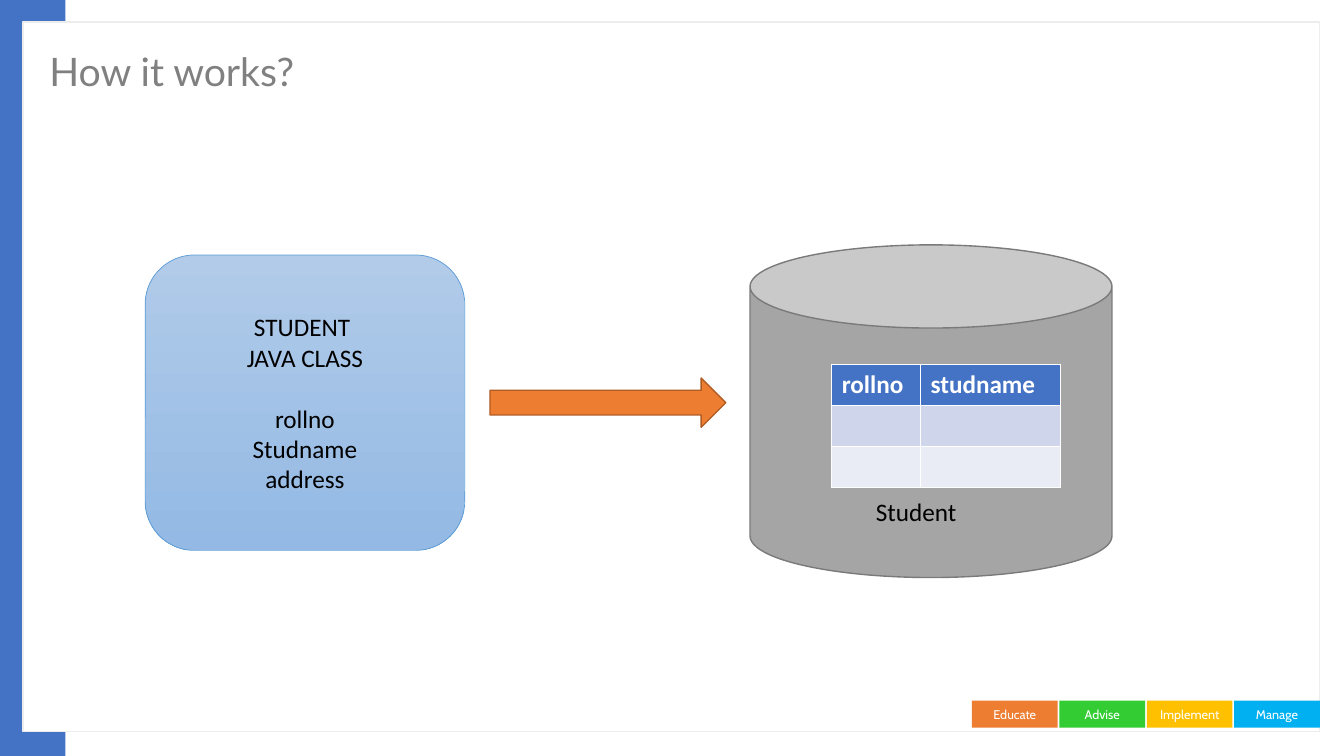
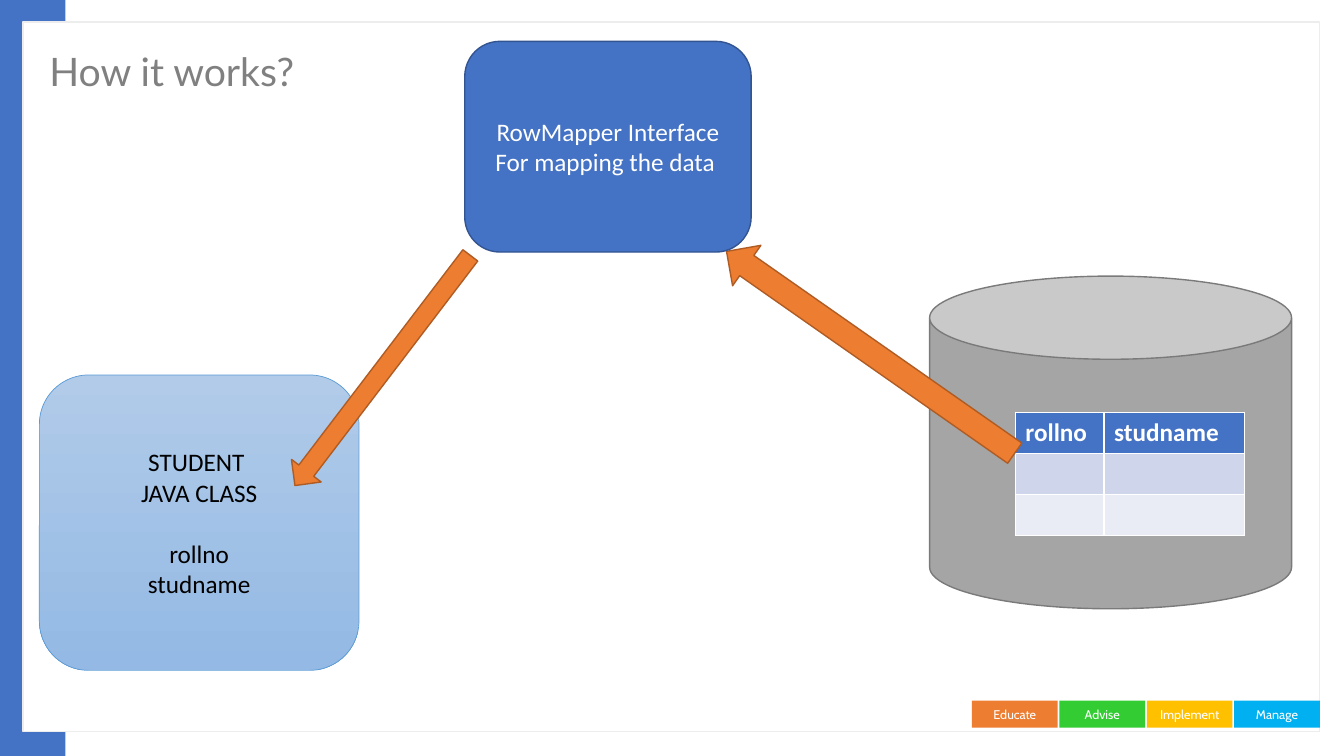
from typing import NamedTuple

from pptx import Presentation
from pptx.dml.color import RGBColor
from pptx.enum.shapes import MSO_SHAPE
from pptx.enum.text import MSO_ANCHOR, MSO_AUTO_SIZE, PP_ALIGN
from pptx.util import Inches, Pt

RECT, ROUND = MSO_SHAPE.RECTANGLE, MSO_SHAPE.ROUNDED_RECTANGLE
CAN, RIGHT, DOWN = MSO_SHAPE.CAN, MSO_SHAPE.RIGHT_ARROW, MSO_SHAPE.DOWN_ARROW
LEFT, CENTER = PP_ALIGN.LEFT, PP_ALIGN.CENTER
TOP, MIDDLE = MSO_ANCHOR.TOP, MSO_ANCHOR.MIDDLE
FIXED = MSO_AUTO_SIZE.NONE

WHITE = RGBColor(0xFF, 0xFF, 0xFF)
BLACK = RGBColor(0x00, 0x00, 0x00)
GRAY = RGBColor(0x80, 0x80, 0x80)
PALE = RGBColor(0xED, 0xED, 0xED)
BLUE = RGBColor(0x44, 0x72, 0xC4)
NAVY = RGBColor(0x32, 0x54, 0x91)
SKY = RGBColor(0x5B, 0x9B, 0xD5)
LIGHT = RGBColor(0xB1, 0xCB, 0xE9)
SOFT = RGBColor(0x93, 0xB9, 0xE4)
STEEL = RGBColor(0xA5, 0xA5, 0xA5)
IRON = RGBColor(0x7A, 0x7A, 0x7A)
ORANGE = RGBColor(0xED, 0x7D, 0x31)
RUST = RGBColor(0xAF, 0x5C, 0x24)
GREEN = RGBColor(0x33, 0xCC, 0x33)
GOLD = RGBColor(0xFF, 0xC0, 0x00)
CYAN = RGBColor(0x00, 0xB0, 0xF0)
ROWS = (BLUE, RGBColor(0xCF, 0xD5, 0xEA), RGBColor(0xE9, 0xEB, 0xF5))
TAGS = (("Educate", ORANGE), ("Advise", GREEN),
        ("Implement", GOLD), ("Manage", CYAN))


class Box(NamedTuple):
    x: float
    y: float
    w: float
    h: float

    def cut(self, x, y, w, h):
        return Box(self.x + self.w * x / 100, self.y + self.h * y / 100,
                   self.w * w / 100, self.h * h / 100)

    def place(self):
        return [Inches(side) for side in self]


PAGE = Box(0, 0, 13.33, 7.5)


def write(frame, *groups, size=18, font="Calibri", color=BLACK, bold=False,
          align=CENTER, anchor=MIDDLE, lead=None, gap=22):
    frame.word_wrap = True
    frame.vertical_anchor = anchor
    lines = [(text, bool(rank) and not spot)
             for rank, group in enumerate(groups)
             for spot, text in enumerate(group)]
    for rank, (text, apart) in enumerate(lines):
        para = frame.add_paragraph() if rank else frame.paragraphs[0]
        para.alignment = align
        para.line_spacing = lead
        if apart:
            para.space_before = Pt(gap)
        run = para.add_run()
        run.text = text
        run.font.size, run.font.name = Pt(size), font
        run.font.color.rgb, run.font.bold = color, bold


def draw(slide, kind, box, fill, line=None, width=1, turn=0):
    shape = slide.shapes.add_shape(kind, *box.place())
    shape.shadow.inherit = False
    shape.rotation = turn
    if isinstance(fill, tuple) and not isinstance(fill, RGBColor):
        shape.fill.gradient()
        shape.fill.gradient_angle = 270
        for stop, color in zip(shape.fill.gradient_stops, fill):
            stop.color.rgb = color
    else:
        shape.fill.solid()
        shape.fill.fore_color.rgb = fill
    if line is None:
        shape.line.fill.background()
    else:
        shape.line.color.rgb = line
        shape.line.width = Pt(width)
    return shape


def tags(slide, box):
    wide = 24.64
    step = (100 - wide) / (len(TAGS) - 1)
    for rank, (text, color) in enumerate(TAGS):
        tag = draw(slide, RECT, box.cut(rank * step, 0, wide, 100), color)
        write(tag.text_frame, [text], size=9, font="Cabin", color=WHITE)


def brand(deck, layout):
    for holder in list(layout.placeholders)[1:]:
        holder.element.getparent().remove(holder.element)
    title = layout.placeholders[0]
    title.left, title.top, title.width, title.height = PAGE.cut(
        2.93, 4, 77.42, 11.6).place()
    slide = deck.slides.add_slide(layout)
    draw(slide, RECT, PAGE.cut(0, 0, 4.88, 100), BLUE)
    draw(slide, RECT, PAGE.cut(1.72, 2.93, 96.47, 93.87), WHITE, PALE)
    tags(slide, PAGE.cut(72.32, 92.67, 25.88, 3.6))
    for shape in list(slide.shapes)[1:]:
        title.element.addprevious(shape.element)
    return slide


def head(slide, text):
    frame = slide.shapes.title.text_frame
    frame.auto_size = FIXED
    write(frame, [text], size=28, font="Lato", color=GRAY, align=LEFT, lead=0.9)


def model(slide, box, fields):
    card = draw(slide, ROUND, box, (LIGHT, SOFT), SKY, 0.5)
    write(card.text_frame, ["STUDENT ", "JAVA CLASS"], fields)


def grid(slide, box, names):
    table = slide.shapes.add_table(len(ROWS), len(names), *box.place()).table
    for col, share in zip(table.columns, (38.77, 61.23)):
        col.width = Inches(box.w * share / 100)
    for row, color in enumerate(ROWS):
        for col, name in enumerate(names):
            cell = table.cell(row, col)
            cell.fill.solid()
            cell.fill.fore_color.rgb = color
            if row == 0:
                write(cell.text_frame, [name], color=WHITE, bold=True,
                      align=LEFT, anchor=TOP)


def store(slide, box, x, y, label=None):
    draw(slide, CAN, box, STEEL, IRON)
    grid(slide, box.cut(x, y, 63.23, 36.97), ("rollno", "studname"))
    if label:
        note = slide.shapes.add_textbox(
            *box.cut(32.03, 73.94, 43.73, 12.12).place())
        write(note.text_frame, [label], align=LEFT, anchor=TOP)


def arrow(slide, box, kind=RIGHT, turn=0):
    draw(slide, kind, box, ORANGE, RUST, turn=turn)


def direct(slide, box):
    head(slide, "How it works?")
    model(slide, box.cut(10.8, 33.73, 23.78, 39.07),
          ["rollno", "Studname", "address"])
    store(slide, box.cut(55.81, 32.4, 26.93, 44), 22.56, 36.06, "Student")
    arrow(slide, box.cut(36.46, 50, 17.55, 6.53))


def mapped(slide, box):
    head(slide, "How it works?")
    model(slide, box.cut(2.93, 49.6, 23.78, 39.07), ["rollno", "studname"])
    store(slide, box.cut(69.17, 36.53, 26.93, 44), 23.68, 40.91)
    arrow(slide, box.cut(51.69, 43.33, 26.18, 6.53), turn=215)
    card = draw(slide, ROUND, box.cut(34.58, 5.47, 21.31, 27.87), BLUE, NAVY)
    write(card.text_frame, ["RowMapper Interface", "For mapping the data "],
          color=WHITE)
    arrow(slide, box.cut(27.08, 29.87, 2.78, 38.27), DOWN, 37.3)


def main():
    deck = Presentation()
    deck.slide_width, deck.slide_height = Inches(PAGE.w), Inches(PAGE.h)
    layout = deck.slide_layouts[5]
    direct(brand(deck, layout), PAGE)
    mapped(deck.slides.add_slide(layout), PAGE)
    deck.save("out.pptx")


if __name__ == "__main__":
    main()
